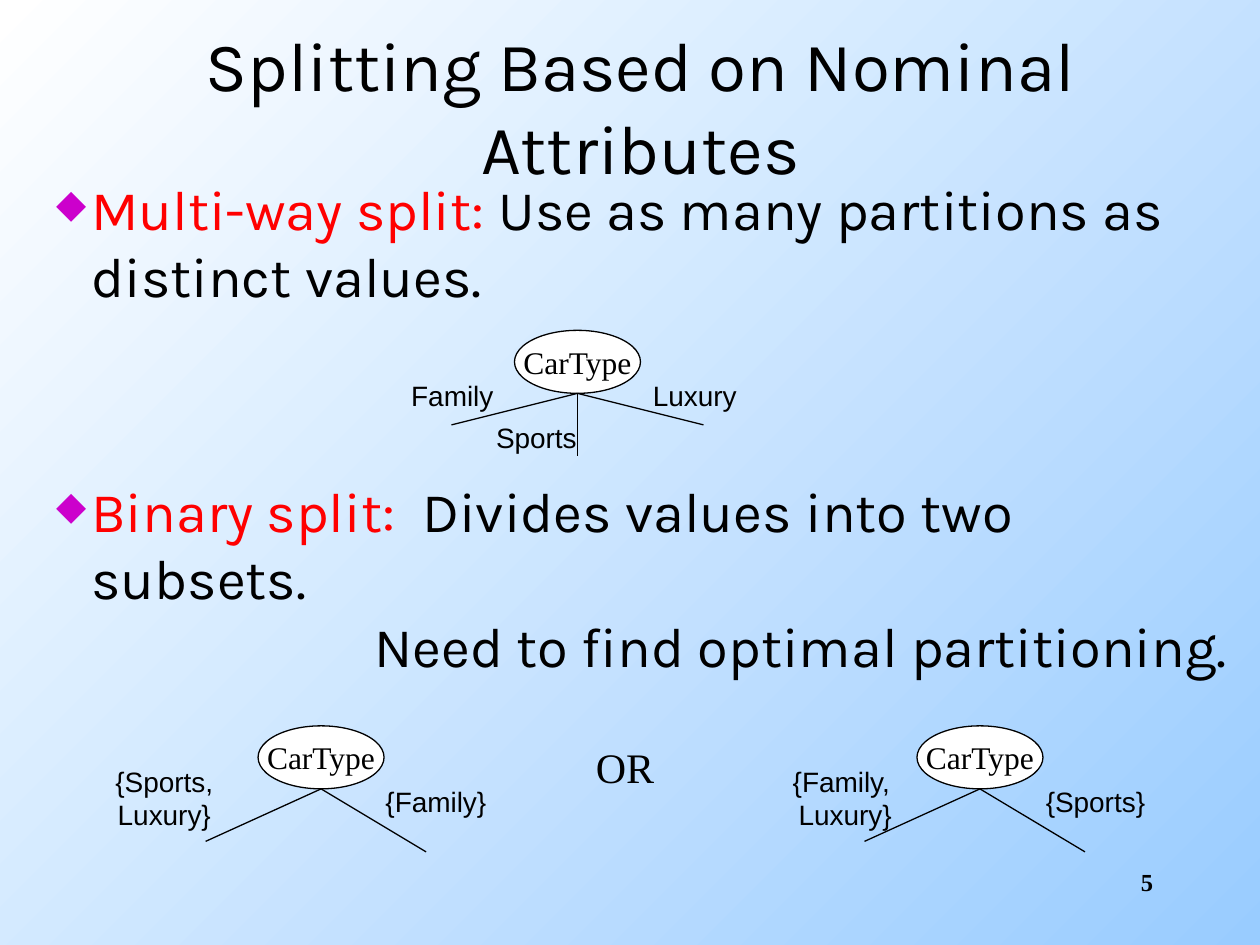
"""Build a slide on splitting a decision tree by nominal attributes."""
from dataclasses import dataclass

from lxml.etree import SubElement
from pptx import Presentation
from pptx.dml.color import RGBColor
from pptx.enum.shapes import MSO_CONNECTOR, MSO_SHAPE
from pptx.enum.text import MSO_ANCHOR, MSO_AUTO_SIZE, PP_ALIGN
from pptx.oxml.ns import qn
from pptx.util import Pt


@dataclass(frozen=True)
class Theme:
    ink: RGBColor = RGBColor(0, 0, 0)
    white: RGBColor = RGBColor(255, 255, 255)
    sky: RGBColor = RGBColor(0x99, 0xCC, 0xFF)
    accent: RGBColor = RGBColor(255, 0, 0)
    bullet: str = "CC00CC"
    bullet_scale: str = "70000"
    heading_font: str = "Karla"
    label_font: str = "Arial"
    node_font: str = "Times New Roman"
    title_size: float = 39.6
    body_size: float = 32
    choice_size: float = 24
    node_size: float = 18
    label_size: float = 16
    number_size: float = 14


theme = Theme()


def add_span(para, text, font, size, color=theme.ink, bold=False):
    span = para.add_run()
    span.text = text
    span.font.name = font
    span.font.size = Pt(size)
    span.font.color.rgb = color
    span.font.bold = bold


def add_box(shapes, left, top, width, height, lines, font, size, wrap=False):
    box = shapes.add_textbox(Pt(left), Pt(top), Pt(width), Pt(height))
    frame = box.text_frame
    frame.word_wrap = wrap
    frame.vertical_anchor = MSO_ANCHOR.MIDDLE
    para = frame.paragraphs[0]
    para.alignment = PP_ALIGN.CENTER
    for index, line in enumerate(lines):
        if index:
            para.add_line_break()
        add_span(para, line, font, size)


deck = Presentation()
deck.slide_width, deck.slide_height = Pt(720), Pt(540)
page = deck.slides.add_slide(deck.slide_layouts[5])

backdrop = page.background.fill
backdrop.gradient()
backdrop.gradient_angle = 315
for stop, color in zip(backdrop.gradient_stops, (theme.white, theme.sky)):
    stop.color.rgb = color

title = page.shapes.title
title.left, title.top, title.width, title.height = Pt(27), Pt(30), Pt(678), Pt(60)
title.text_frame.auto_size = MSO_AUTO_SIZE.NONE
title.text_frame.word_wrap = True
title.text_frame.vertical_anchor = MSO_ANCHOR.MIDDLE
title_para = title.text_frame.paragraphs[0]
title_para.alignment = PP_ALIGN.CENTER
add_span(title_para, "Splitting Based on Nominal Attributes", theme.heading_font, theme.title_size)

body = page.shapes.add_textbox(Pt(18), Pt(96), Pt(696), Pt(294))
body.text_frame.word_wrap = True
points = [
    ("Multi-way split:", " Use as many partitions as distinct values.", 27, 0),
    ("Binary split:", "  Divides values into two subsets.", 27, 96),
    ("", "Need to find optimal partitioning.", 189, 0),
]
for index, (term, text, margin, gap) in enumerate(points):
    para = body.text_frame.add_paragraph() if index else body.text_frame.paragraphs[0]
    para.space_before = Pt(gap)
    properties = para._p.get_or_add_pPr()
    properties.set("marL", str(Pt(margin)))
    if term:
        properties.set("indent", str(-Pt(20)))
        bullet_color = SubElement(properties, qn("a:buClr"))
        SubElement(bullet_color, qn("a:srgbClr"), val=theme.bullet)
        SubElement(properties, qn("a:buSzPct"), val=theme.bullet_scale)
        SubElement(properties, qn("a:buChar"), char="◆")
        add_span(para, term, theme.heading_font, theme.body_size, theme.accent)
    add_span(para, text, theme.heading_font, theme.body_size)

node_width, node_height = 72, 36
two_way = [(-66, 30), (60, 36)]
trees = [
    (294, 188.8, [(-72, 18), (0, 36), (72, 18)],
     [(["Family"], -68.5, 24, 66, 26.6, False),
      (["Sports"], -20, 48, 65, 26.6, False),
      (["Luxury"], 70, 24, 66, 26.6, False)]),
    (524, 414.8, two_way,
     [(["{Family, ", "Luxury}"], -81, 18, 80, 46, False),
      (["{Sports}"], 64, 30, 76, 26.6, False)]),
    (147.5, 414.8, two_way,
     [(["{Sports, Luxury}"], -90.7, 18, 74.2, 46, True),
      (["{Family}"], 63.6, 30, 76, 26.6, False)]),
]
for left, top, branches, labels in trees:
    tree = page.shapes.add_group_shape().shapes
    node = tree.add_shape(MSO_SHAPE.OVAL, Pt(left), Pt(top), Pt(node_width), Pt(node_height))
    node.shadow.inherit = False
    node.fill.solid()
    node.fill.fore_color.rgb = theme.white
    node.line.color.rgb = theme.ink
    node.line.width = Pt(0.75)
    node.text_frame.word_wrap = False
    node.text_frame.vertical_anchor = MSO_ANCHOR.MIDDLE
    node_para = node.text_frame.paragraphs[0]
    node_para.alignment = PP_ALIGN.CENTER
    add_span(node_para, "CarType", theme.node_font, theme.node_size)

    root_x, root_y = left + node_width / 2, top + node_height
    for across, down in branches:
        branch = tree.add_connector(
            MSO_CONNECTOR.STRAIGHT, Pt(root_x), Pt(root_y), Pt(root_x + across), Pt(root_y + down))
        branch.line.color.rgb = theme.ink
        branch.line.width = Pt(0.75)
        SubElement(branch._element.spPr, qn("a:effectLst"))
    for lines, across, down, width, height, wrap in labels:
        add_box(tree, left + across, top + down, width, height, lines,
                theme.label_font, theme.label_size, wrap)

add_box(page.shapes, 333.4, 420, 47.5, 36, ["OR"], theme.node_font, theme.choice_size)

number = page.shapes.add_textbox(Pt(516), Pt(492), Pt(150), Pt(36))
number.text_frame.word_wrap = True
number_para = number.text_frame.paragraphs[0]
number_para.alignment = PP_ALIGN.RIGHT
add_span(number_para, "5", theme.node_font, theme.number_size, bold=True)

deck.save("out.pptx")
